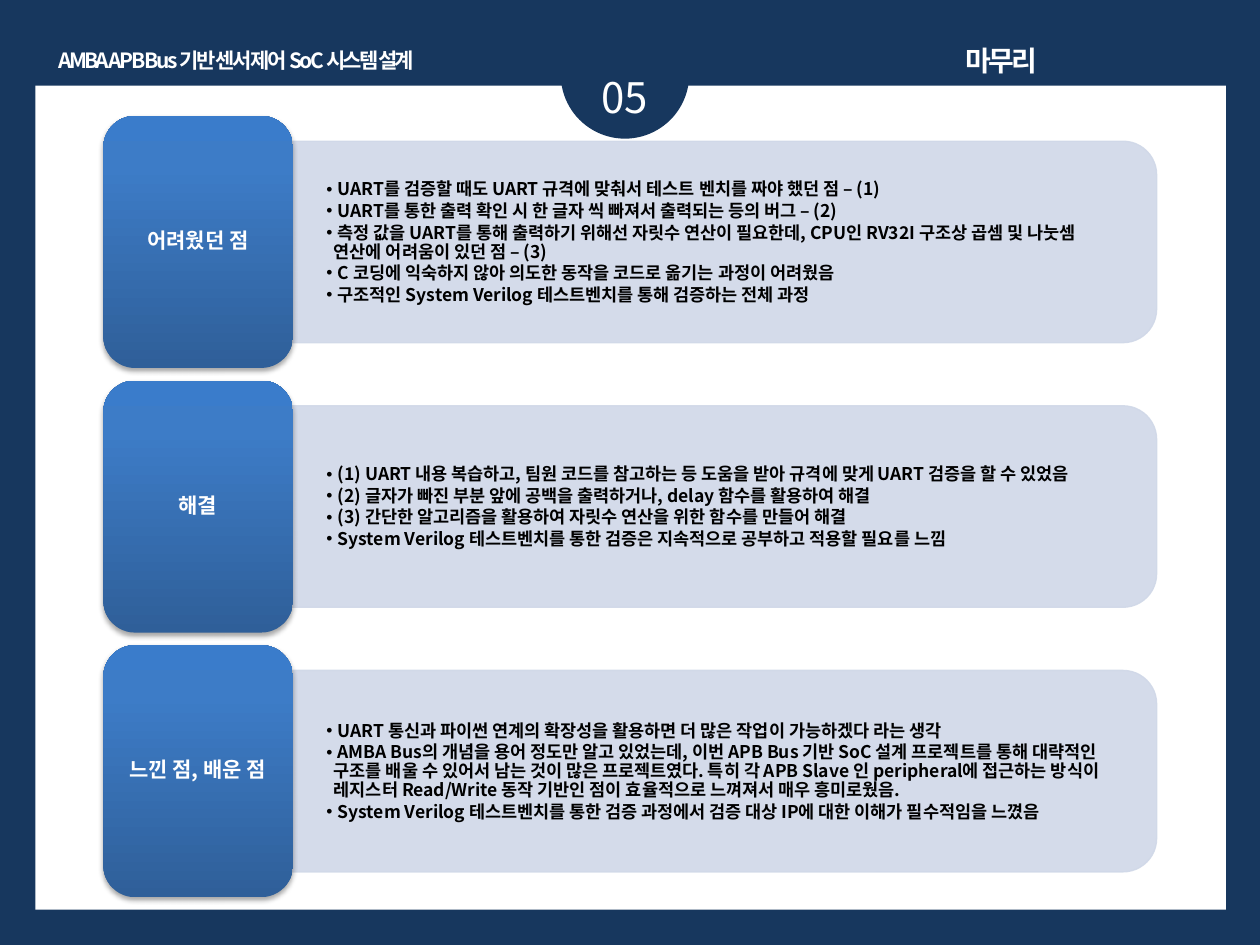
from dataclasses import dataclass
from typing import Optional

from lxml.etree import SubElement
from pptx import Presentation
from pptx.dml.color import RGBColor
from pptx.enum.shapes import MSO_SHAPE
from pptx.enum.text import MSO_ANCHOR, MSO_AUTO_SIZE, PP_ALIGN
from pptx.oxml.ns import qn
from pptx.util import Emu, Inches, Pt

NAVY = RGBColor(0x17, 0x37, 0x5E)
WHITE = RGBColor(0xFF, 0xFF, 0xFF)
BLACK = RGBColor(0x00, 0x00, 0x00)
PALE = RGBColor(0xD0, 0xD8, 0xE8)
BLUES = ((0, "2F5F99"), (80, "3D7CC7"), (100, "3A7CCB"))
NOTO = "Noto Sans CJK KR"
WIDE, HIGH = Inches(10), Inches(7.5)
TOP, STEP = 12.27, 28  # first card and card pitch, % of slide height


@dataclass(frozen=True)
class Box:
    """A frame in percent of the slide's width and height."""
    x: float
    y: float
    w: float
    h: float

    def emu(self) -> list[Emu]:
        sides = ((self.x, WIDE), (self.y, HIGH), (self.w, WIDE), (self.h, HIGH))
        return [Emu(int(part * full / 100)) for part, full in sides]


@dataclass(frozen=True)
class Style:
    size: float
    color: RGBColor = WHITE
    bold: bool = True
    font: str = NOTO
    tight: Optional[int] = None


@dataclass(frozen=True)
class Card:
    label: str
    notes: tuple[str, ...]


CARDS = (
    Card("어려웠던 점", (
        "UART를 검증할 때도 UART 규격에 맞춰서 테스트 벤치를 짜야 했던 점 – (1)",
        "UART를 통한 출력 확인 시 한 글자 씩 빠져서 출력되는 등의 버그 – (2)",
        "측정 값을 UART를 통해 출력하기 위해선 자릿수 연산이 필요한데, "
        "CPU인 RV32I 구조상 곱셈 및 나눗셈 연산에 어려움이 있던 점 – (3)",
        "C 코딩에 익숙하지 않아 의도한 동작을 코드로 옮기는 과정이 어려웠음",
        "구조적인 System Verilog 테스트벤치를 통해 검증하는 전체 과정")),
    Card("해결", (
        "(1) UART 내용 복습하고, 팀원 코드를 참고하는 등 도움을 받아 "
        "규격에 맞게 UART 검증을 할 수 있었음",
        "(2) 글자가 빠진 부분 앞에 공백을 출력하거나, delay 함수를 활용하여 해결",
        "(3) 간단한 알고리즘을 활용하여 자릿수 연산을 위한 함수를 만들어 해결",
        "System Verilog 테스트벤치를 통한 검증은 지속적으로 공부하고 적용할 필요를 느낌")),
    Card("느낀 점, 배운 점", (
        "UART 통신과 파이썬 연계의 확장성을 활용하면 더 많은 작업이 가능하겠다 라는 생각",
        "AMBA Bus의 개념을 용어 정도만 알고 있었는데, 이번 APB Bus 기반 SoC 설계 "
        "프로젝트를 통해 대략적인 구조를 배울 수 있어서 남는 것이 많은 프로젝트였다. "
        "특히 각 APB Slave 인 peripheral에 접근하는 방식이 레지스터 Read/Write "
        "동작 기반인 점이 효율적으로 느껴져서 매우 흥미로웠음.",
        "System Verilog 테스트벤치를 통한 검증 과정에서 검증 대상 IP에 대한 "
        "이해가 필수적임을 느꼈음")),
)


def add_shape(slide, kind: MSO_SHAPE, box: Box, color: RGBColor):
    shape = slide.shapes.add_shape(kind, *box.emu())
    shape.shadow.inherit = False
    shape.fill.solid()
    shape.fill.fore_color.rgb = color
    shape.line.fill.background()
    return shape


def add_text(slide, box: Box, lines: tuple[str, ...], style: Style,
             wrap: bool = True, grow: bool = False):
    frame = slide.shapes.add_textbox(*box.emu()).text_frame
    frame.text = "\n".join(lines)
    frame.word_wrap = wrap
    if grow:
        frame.auto_size = MSO_AUTO_SIZE.SHAPE_TO_FIT_TEXT
    for para in frame.paragraphs:
        para.alignment = PP_ALIGN.CENTER
        for run in para.runs:
            font = run.font
            font.size, font.bold, font.name = Pt(style.size), style.bold, style.font
            font.color.rgb = style.color
            props = run._r.get_or_add_rPr()
            SubElement(props, qn("a:ea"), typeface=NOTO)
            if style.tight is not None:
                props.set("spc", str(style.tight))
    return frame


def set_block(frame, pad: tuple[float, float], after: float) -> None:
    """Centre a block vertically and set its padding and line gaps."""
    frame.vertical_anchor = MSO_ANCHOR.MIDDLE
    frame.margin_left = frame.margin_right = Inches(pad[0])
    frame.margin_top = frame.margin_bottom = Inches(pad[1])
    for para in frame.paragraphs:
        para.line_spacing = 0.9
        para.space_after = Pt(after)


def add_panel(slide, box: Box) -> None:
    """Pale panel, turned so that its round corners face right."""
    panel = add_shape(slide, MSO_SHAPE.ROUND_2_SAME_RECTANGLE, box, PALE)
    left, top, width, height = box.emu()
    panel.left, panel.top = left + (width - height) // 2, top + (height - width) // 2
    panel.width, panel.height = height, width
    panel.rotation = 90
    panel.line.color.rgb = PALE
    panel.line.width = Pt(0.75)
    for color in panel._element.spPr.iter(qn("a:srgbClr")):
        SubElement(color, qn("a:alpha"), val="90000")


def add_tag(slide, box: Box) -> None:
    """Round blue tag with a gradient and a soft shadow."""
    tag = add_shape(slide, MSO_SHAPE.ROUNDED_RECTANGLE, box, NAVY)
    tag.fill.gradient()
    tag.fill.gradient_angle = 90
    props = tag._element.spPr
    stops = props.find(".//" + qn("a:gsLst"))
    for stop in list(stops):
        stops.remove(stop)
    for share, color in BLUES:
        stop = SubElement(stops, qn("a:gs"), pos=str(share * 1000))
        SubElement(stop, qn("a:srgbClr"), val=color)
    shade = SubElement(props.find(qn("a:effectLst")), qn("a:outerShdw"),
                       blurRad=str(Pt(3.1)), dist=str(Pt(1.8)),
                       dir="5400000", rotWithShape="0")
    SubElement(SubElement(shade, qn("a:srgbClr"), val="000000"),
               qn("a:alpha"), val="35000")


def add_notes(slide, box: Box, notes: tuple[str, ...]) -> None:
    lines = tuple(f" {note}" for note in notes)
    frame = add_text(slide, box, lines, Style(10, BLACK))
    set_block(frame, (0.27, 0.14), 1.5)
    for para in frame.paragraphs:
        para.alignment = PP_ALIGN.LEFT
        para.level = 1
        props = para._p.get_or_add_pPr()
        props.set("marL", str(Inches(0.06)))
        props.set("indent", str(Inches(-0.06)))
        SubElement(props, qn("a:buFont"), typeface="Arial")
        SubElement(props, qn("a:buChar"), char="•")


def add_card(slide, card: Card, top: float) -> None:
    add_panel(slide, Box(23.2, top + 2.67, 68.6, 21.33))
    add_notes(slide, Box(23.2, top + 3.77, 67.8, 19.33), card.notes)
    add_tag(slide, Box(8.2, top, 15.05, 26.67))
    label = add_text(slide, Box(8.9, top + 0.93, 13.6, 24.8), (card.label,), Style(12))
    set_block(label, (0.05, 0.03), 4.2)


def main() -> None:
    deck = Presentation()
    deck.slide_width, deck.slide_height = WIDE, HIGH
    slide = deck.slides.add_slide(deck.slide_layouts[6])
    slide.background.fill.solid()
    slide.background.fill.fore_color.rgb = NAVY

    # White sheet and the number badge
    add_shape(slide, MSO_SHAPE.RECTANGLE, Box(2.8, 9.07, 94.5, 87.2), WHITE)
    add_shape(slide, MSO_SHAPE.OVAL, Box(44.5, 1.07, 10.2, 13.6), NAVY)
    add_text(slide, Box(43.7, 6.93, 11.8, 6.67), ("05",),
             Style(24, bold=False), grow=True)

    # Section heading
    add_text(slide, Box(61, 4, 37, 4.93), ("마무리",),
             Style(16, font="Arial", tight=-150), grow=True)

    # Cards
    for row, card in enumerate(CARDS):
        add_card(slide, card, TOP + row * STEP)

    # Project title
    add_text(slide, Box(2.3, 4.4, 32.9, 4),
             ("AMBA APB Bus 기반 센서 제어 SoC 시스템 설계",),
             Style(12, tight=-150), wrap=False, grow=True)

    deck.save("out.pptx")


if __name__ == "__main__":
    main()
